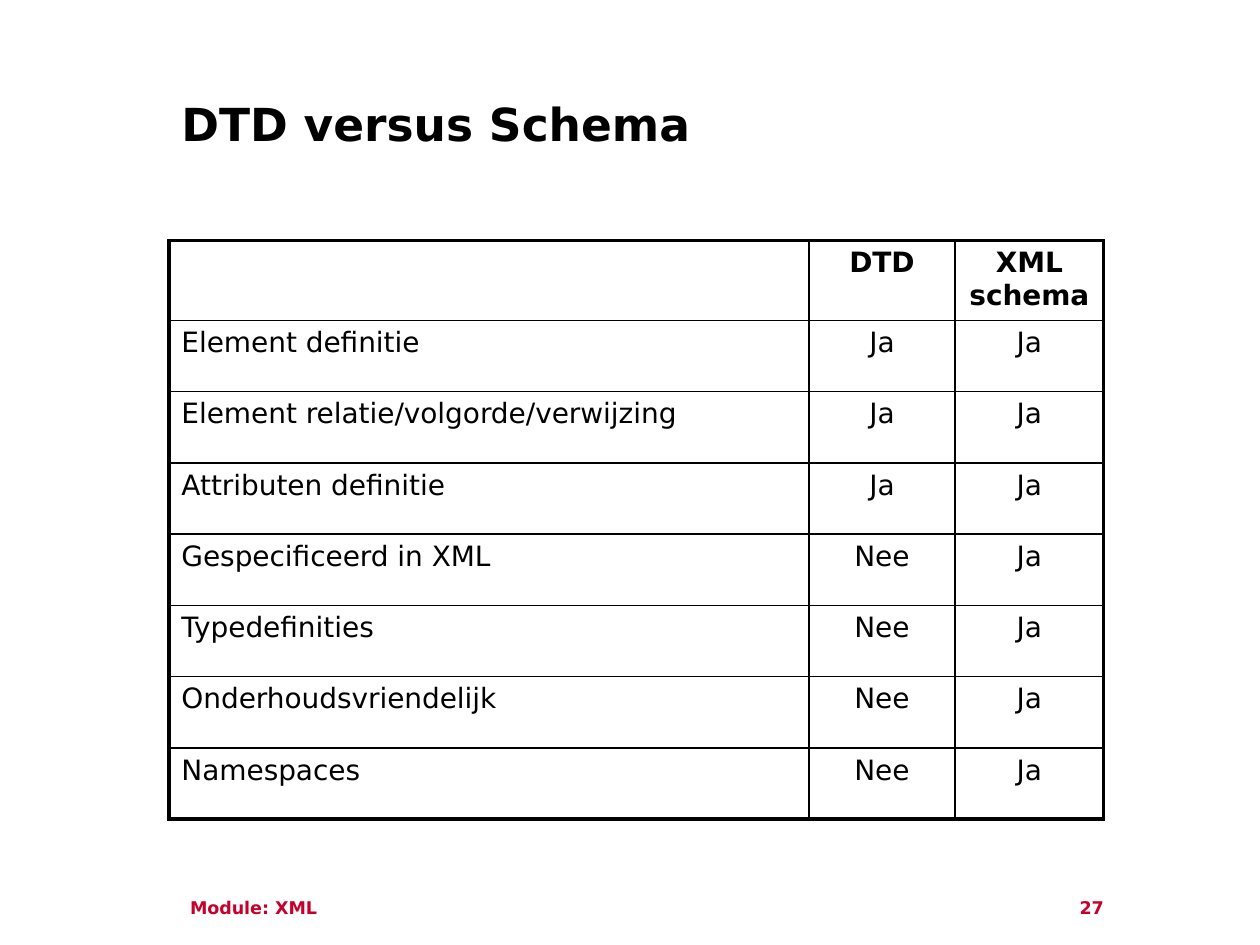
import pptx
import pptx.util
import pptx.dml.color
import pptx.enum.text
import pptx.oxml
import pptx.oxml.ns

INCH = pptx.util.Inches
ALIGN = pptx.enum.text.PP_ALIGN
FONT = "DejaVu Sans"
BLACK, RED = "000000", "C7002B"


def write(frame, text, size, color, bold, align=ALIGN.LEFT):
    """Put one formatted paragraph into a text frame."""
    frame.word_wrap = True
    par = frame.paragraphs[0]
    par.alignment = align
    run = par.add_run()
    run.text = text
    look = {"name": FONT, "size": pptx.util.Pt(size), "bold": bold}
    for key, value in look.items():
        setattr(run.font, key, value)
    run.font.color.rgb = pptx.dml.color.RGBColor.from_string(color)


def border(cell, side, width):
    """Draw one black cell edge: side is L, R, T or B."""
    name = f"a:ln{side}"
    line = pptx.oxml.parse_xml(
        f'<{name} {pptx.oxml.ns.nsdecls("a")} w="{pptx.util.Pt(width)}">'
        f'<a:solidFill><a:srgbClr val="{BLACK}"/></a:solidFill></{name}>'
    )
    cell._tc.get_or_add_tcPr().append(line)


deck = pptx.Presentation()
deck.slide_width, deck.slide_height = INCH(10), INCH(7.5)
slide = deck.slides.add_slide(deck.slide_layouts[6])

# Title and footer
LEFT, WIDTH = 1.34, 7.42
labels = [
    ("DTD versus Schema", (LEFT, 0.71, WIDTH, 0.64), 26, BLACK),
    ("Module: XML", (1.41, 7.07, 5.31, 0.28), 10, RED),
    ("27", (8.47, 7.07, 0.99, 0.28), 10, RED),
]
for text, place, size, color in labels:
    box = slide.shapes.add_textbox(*map(INCH, place))
    write(box.text_frame, text, size, color, True)

# Comparison table
rows = [
    ("", "DTD", "XML schema"),
    ("Element definitie", "Ja", "Ja"),
    ("Element relatie/volgorde/verwijzing", "Ja", "Ja"),
    ("Attributen definitie", "Ja", "Ja"),
    ("Gespecificeerd in XML", "Nee", "Ja"),
    ("Typedefinities", "Nee", "Ja"),
    ("Onderhoudsvriendelijk", "Nee", "Ja"),
    ("Namespaces", "Nee", "Ja"),
]
widths = [5.08, 1.16, 1.18]
TALL, HEAD = 4.58, 0.62
THIN, THICK = 1, 2.25
last_row, last_col = len(rows) - 1, len(widths) - 1

grid = slide.shapes.add_table(
    len(rows), len(widths), INCH(LEFT), INCH(1.91), INCH(WIDTH), INCH(TALL)
).table
grid.first_row = grid.horz_banding = False
for col, width in zip(grid.columns, widths):
    col.width = INCH(width)
for r, row in enumerate(rows):
    grid.rows[r].height = INCH((TALL - HEAD) / last_row if r else HEAD)
    for c, text in enumerate(row):
        cell = grid.cell(r, c)
        outer = {"L": c == 0, "R": c == last_col, "T": r == 0, "B": r == last_row}
        for side, edge in outer.items():
            border(cell, side, THICK if edge else THIN)
        cell.fill.background()
        if text:
            align = ALIGN.CENTER if c else ALIGN.LEFT
            write(cell.text_frame, text, 16, BLACK, r == 0, align)

deck.save("out.pptx")
